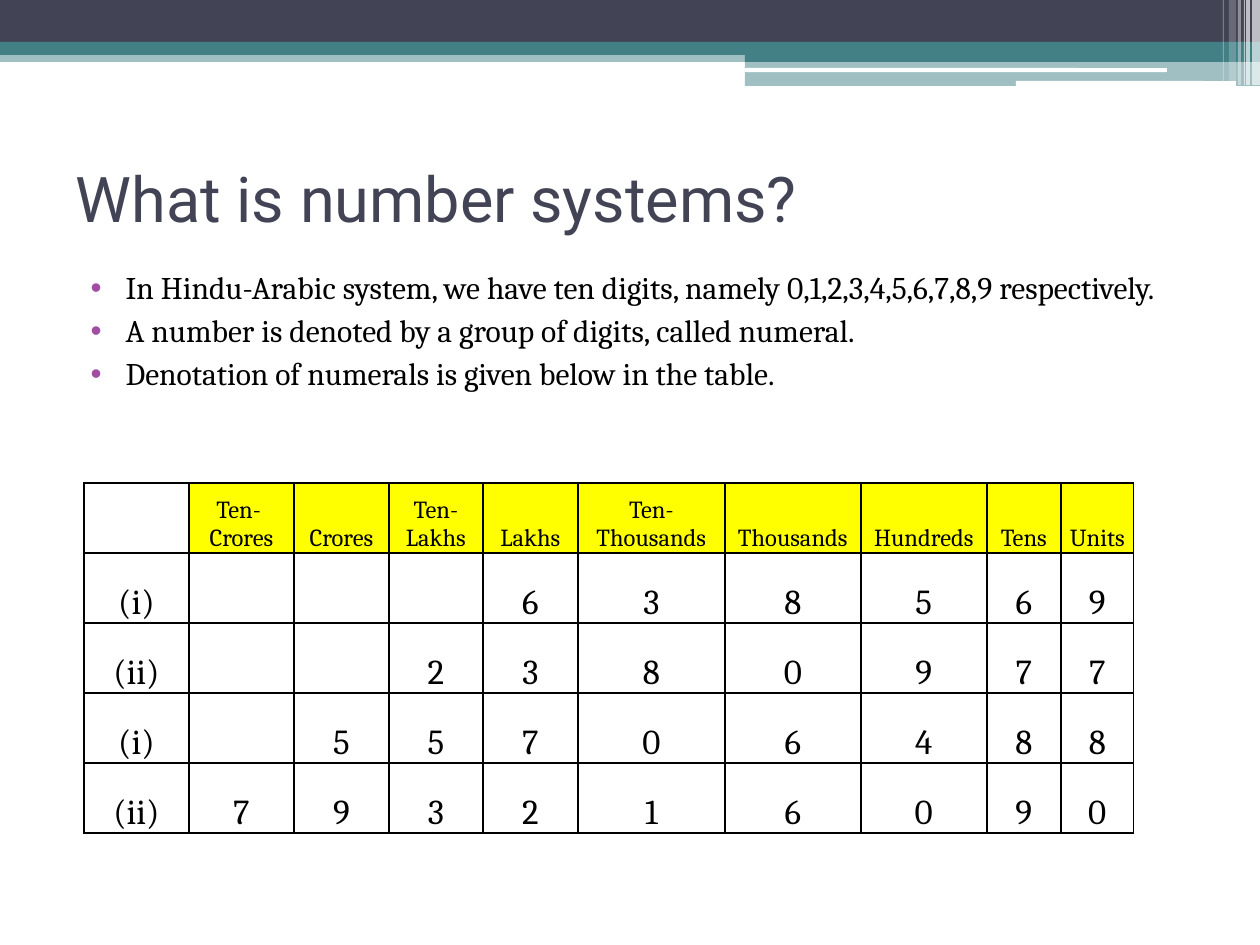
from itertools import pairwise
from typing import NamedTuple

from lxml import etree
from pptx import Presentation
from pptx.dml.color import RGBColor
from pptx.enum.shapes import MSO_SHAPE
from pptx.enum.text import MSO_ANCHOR, MSO_AUTO_SIZE, PP_ALIGN
from pptx.oxml.ns import qn
from pptx.util import Emu, Pt

RECT, ROUNDED = MSO_SHAPE.RECTANGLE, MSO_SHAPE.ROUNDED_RECTANGLE
TOP, MIDDLE, BOTTOM = MSO_ANCHOR.TOP, MSO_ANCHOR.MIDDLE, MSO_ANCHOR.BOTTOM
LEFT, CENTER = PP_ALIGN.LEFT, PP_ALIGN.CENTER
FIXED_SIZE = MSO_AUTO_SIZE.NONE

EMU_PER_PIXEL = 914400 / 126
NAVY, TEAL, WHITE = "424456", "438086", "FFFFFF"
BLACK, YELLOW, PURPLE = "000000", "FFFF00", "A04DA3"


class Bar(NamedTuple):
    left: int
    top: int
    width: int
    height: int
    color: str
    opacity: int = 100
    preset: MSO_SHAPE = RECT


BANNER = [
    Bar(0, 50, 1260, 12, TEAL, 50),
    Bar(0, 0, 1260, 43, NAVY),
    Bar(0, 42, 1260, 13, TEAL),
    Bar(745, 49, 515, 13, TEAL),
    Bar(745, 61, 515, 25, TEAL, 50),
    Bar(745, 68, 422, 4, WHITE, preset=ROUNDED),
    Bar(1016, 81, 220, 5, WHITE, preset=ROUNDED),
    Bar(1252, 0, 8, 85, WHITE, 65),
    Bar(1246, 0, 4, 85, WHITE, 65),
    Bar(1244, 0, 1, 85, WHITE, 60),
    Bar(1238, 0, 3, 85, WHITE, 40),
    Bar(1229, 0, 7, 81, WHITE, 20),
    Bar(1223, 0, 1, 81, WHITE, 30),
]
POINTS = [
    "In Hindu-Arabic system, we have ten digits, namely 0,1,2,3,4,5,6,7,8,9 respectively.",
    "A number is denoted by a group of digits, called numeral.",
    "Denotation of numerals is given below in the table.",
]
PLACES = ["", "Ten- \vCrores", "Crores", "Ten-\vLakhs", "Lakhs", "Ten-\vThousands",
          "Thousands", "Hundreds", "Tens", "Units"]
NUMERALS = [("(i)", "638569"), ("(ii)", "2380977"), ("(i)", "55706488"), ("(ii)", "793216090")]
COLUMN_EDGES = [84, 189, 294, 389, 483, 578, 725, 861, 987, 1061, 1134]
TABLE_TOP, ROW_HEIGHT = 483, 70


def px(pixels: int) -> Emu:
    return Emu(round(pixels * EMU_PER_PIXEL))


def rgb(color: str) -> RGBColor:
    return RGBColor.from_string(color)


def place(shape, left: int, top: int, width: int, height: int) -> None:
    shape.left, shape.top, shape.width, shape.height = map(px, (left, top, width, height))


def style(paragraph, size: int, font: str, color: str, align) -> None:
    paragraph.alignment = align
    for run in paragraph.runs:
        run.font.size, run.font.name = Pt(size), font
        run.font.color.rgb = rgb(color)


def draw_bar(slide, bar: Bar) -> None:
    shape = slide.shapes.add_shape(bar.preset, *map(px, bar[:4]))
    shape.shadow.inherit = False
    shape.line.fill.background()
    shape.fill.solid()
    shape.fill.fore_color.rgb = rgb(bar.color)
    if bar.opacity < 100:
        fill_color = shape.fill._xPr.find(".//" + qn("a:srgbClr"))
        etree.SubElement(fill_color, qn("a:alpha"), val=str(bar.opacity * 1000))


def add_bullet(paragraph, color: str, margin: int, indent: int) -> None:
    properties = paragraph._p.get_or_add_pPr()
    properties.set("marL", str(px(margin)))
    properties.set("indent", str(px(indent)))
    bullet_color = etree.SubElement(properties, qn("a:buClr"))
    etree.SubElement(bullet_color, qn("a:srgbClr"), val=color)
    etree.SubElement(properties, qn("a:buFont"), typeface="Arial")
    etree.SubElement(properties, qn("a:buChar"), char="\u2022")


def add_borders(cell, color: str, width: int) -> None:
    properties = cell._tc.get_or_add_tcPr()
    for position, side in enumerate(("lnL", "lnR", "lnT", "lnB")):
        line = etree.Element(qn("a:" + side), w=str(Pt(width)))
        fill = etree.SubElement(line, qn("a:solidFill"))
        etree.SubElement(fill, qn("a:srgbClr"), val=color)
        properties.insert(position, line)


def fill_cell(cell, text: str, size: int, color: str | None) -> None:
    cell.text_frame.text = text
    cell.vertical_anchor = BOTTOM
    cell.margin_left = cell.margin_right = cell.margin_top = px(1)
    cell.margin_bottom = 0
    style(cell.text_frame.paragraphs[0], size, "Cambria", BLACK, CENTER)
    if color:
        cell.fill.solid()
        cell.fill.fore_color.rgb = rgb(color)
    else:
        cell.fill.background()
    add_borders(cell, BLACK, 1)


presentation = Presentation()
presentation.slide_width, presentation.slide_height = px(1260), px(945)
slide = presentation.slides.add_slide(presentation.slide_layouts[1])

# Banner
for bar in BANNER:
    draw_bar(slide, bar)

# Title
title = slide.shapes.title
place(title, 63, 158, 1134, 147)
heading = title.text_frame
heading.text = "What is number systems?"
heading.auto_size = FIXED_SIZE
heading.vertical_anchor = MIDDLE
heading.margin_bottom = px(75)
style(heading.paragraphs[0], 36, "Roboto", NAVY, LEFT)

# Bullet points
body = slide.placeholders[1]
place(body, 63, 262, 1134, 644)
points = body.text_frame
points.text = "\n".join(POINTS)
points.auto_size = FIXED_SIZE
points.vertical_anchor = TOP
for point in points.paragraphs:
    style(point, 18, "Cambria", BLACK, LEFT)
    point.space_before = Pt(3)
    add_bullet(point, PURPLE, 50, -35)

# Place value table
rows = [PLACES] + [[label, *digits.rjust(len(PLACES) - 1)] for label, digits in NUMERALS]
table = slide.shapes.add_table(
    len(rows), len(PLACES), px(COLUMN_EDGES[0]), px(TABLE_TOP),
    px(COLUMN_EDGES[-1] - COLUMN_EDGES[0]), px(ROW_HEIGHT * len(rows))).table
for column, (start, end) in zip(table.columns, pairwise(COLUMN_EDGES)):
    column.width = px(end - start)
for row_index, row in enumerate(rows):
    table.rows[row_index].height = px(ROW_HEIGHT)
    for column_index, text in enumerate(row):
        is_place = row_index == 0 and column_index > 0
        fill_cell(table.cell(row_index, column_index), text.lstrip(),
                  14 if row_index == 0 else 20, YELLOW if is_place else None)

presentation.save("out.pptx")
